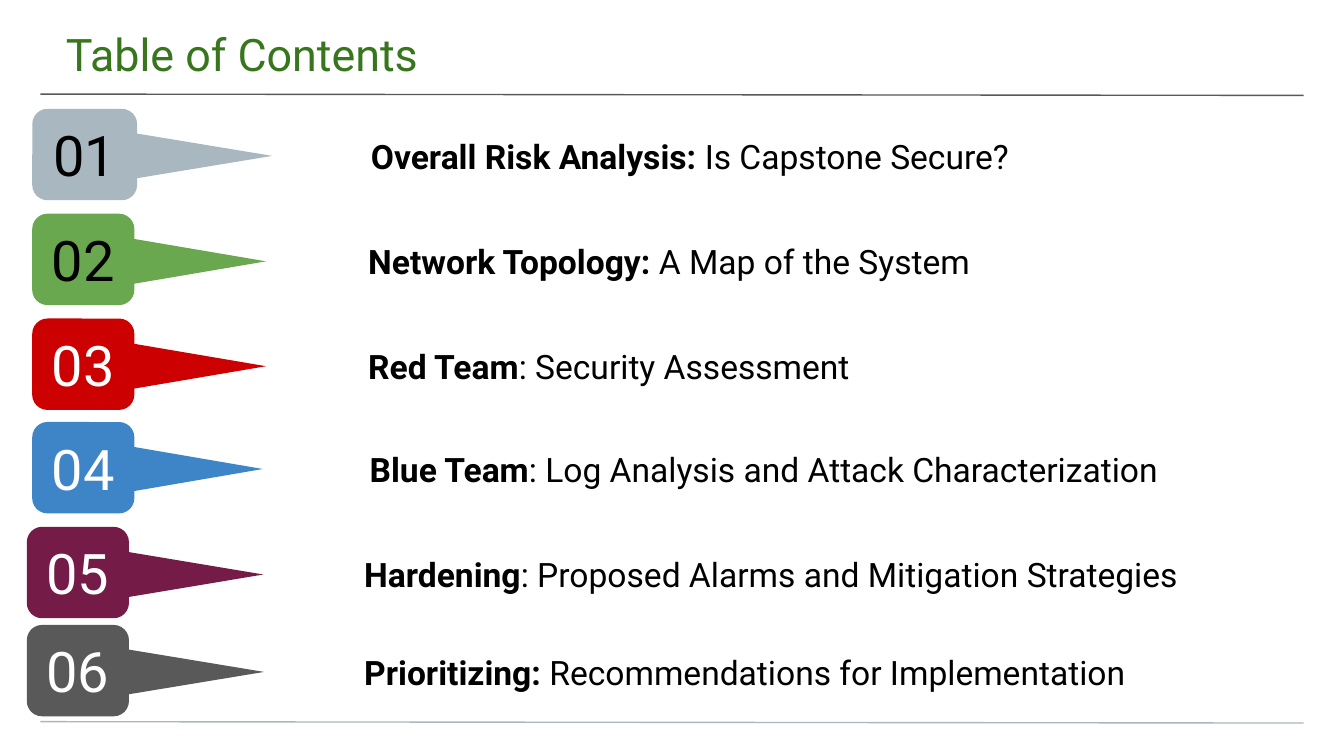
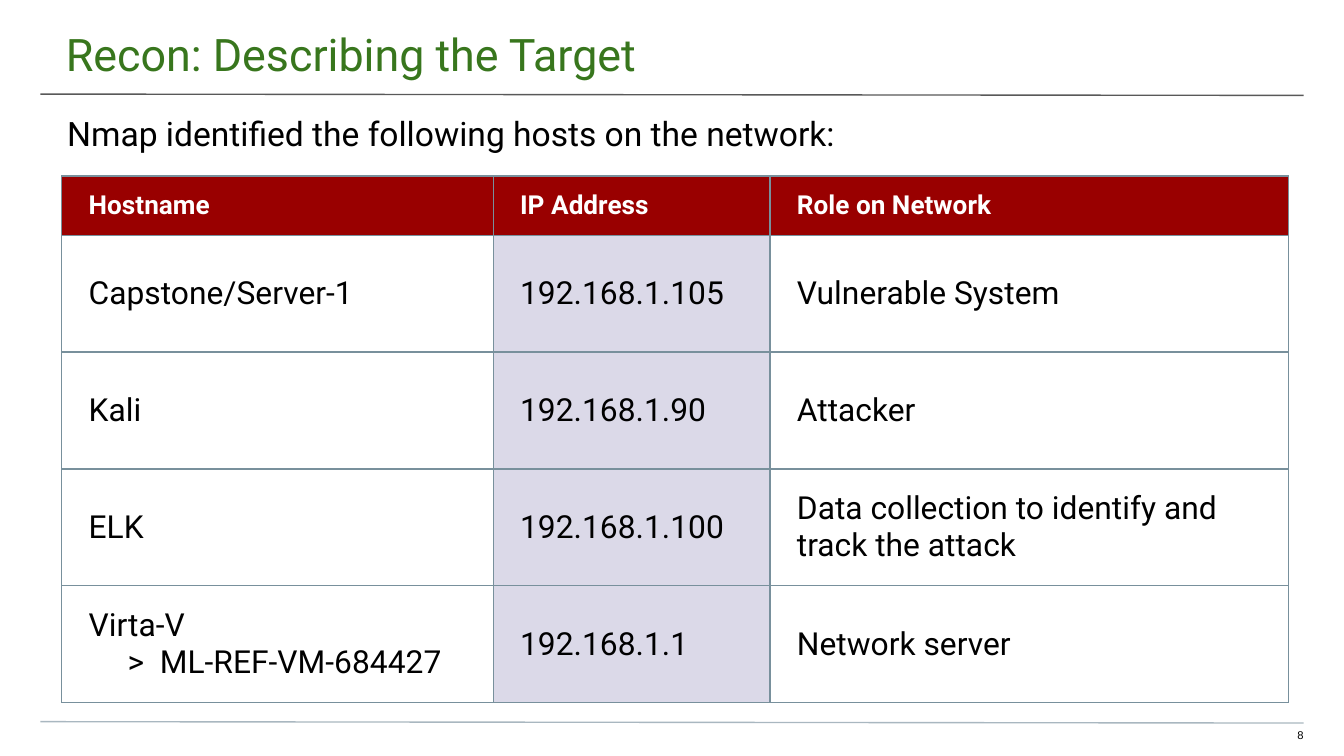
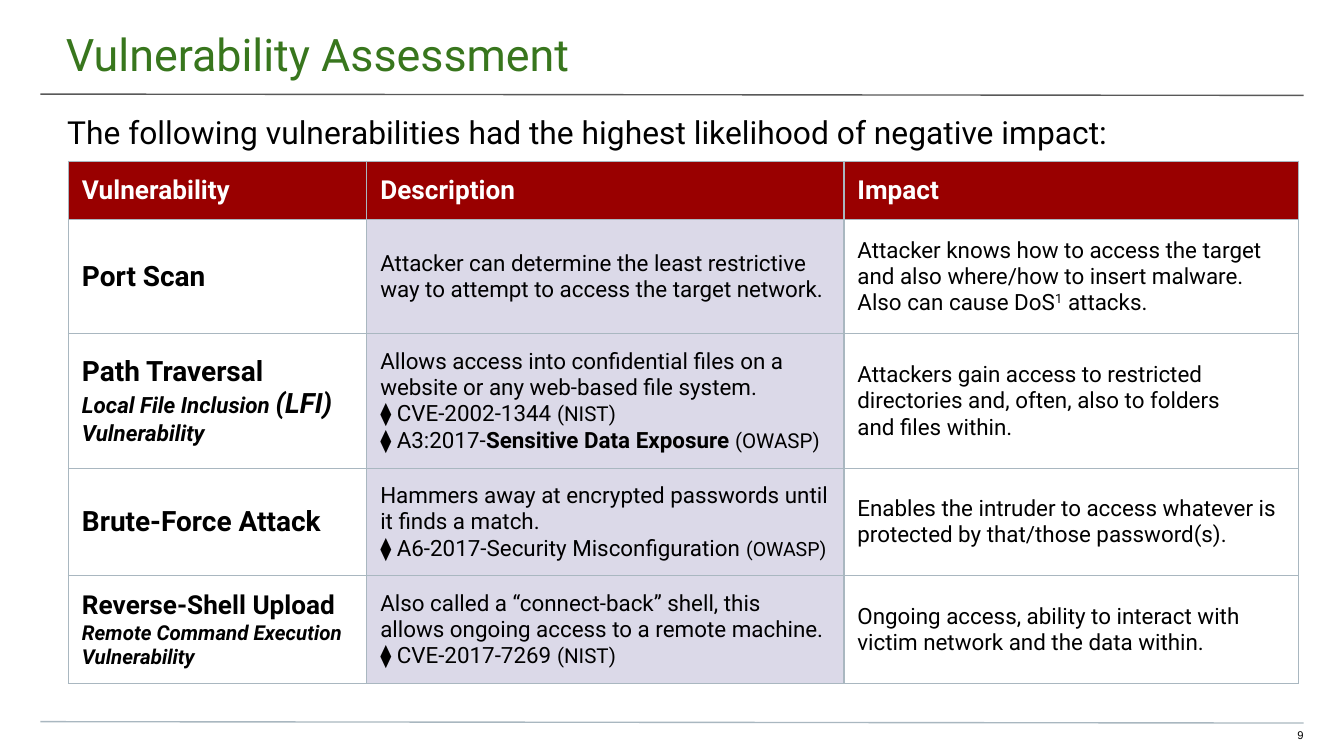
import copy

import pptx
import pptx.dml.color
import pptx.enum.shapes
import pptx.enum.text
import pptx.oxml.ns
import pptx.util
from lxml import etree

PX = 9144  # 100 px to the inch
COLOURS = {
    "title": "38761D", "text": "000000", "white": "FFFFFF", "rule": "595959",
    "mist": "A9B7C0", "green": "6AA84F", "red": "CC0000", "blue": "3D85C6",
    "plum": "741B47", "header": "990000", "lilac": "DBD9E8", "slate": "78909C",
}
SHAPES = pptx.enum.shapes.MSO_SHAPE
ALIGN = pptx.enum.text.PP_ALIGN
ANCHOR = pptx.enum.text.MSO_ANCHOR
qn = pptx.oxml.ns.qn


def place(*lengths):
    return [length * PX for length in lengths]


def write(holder, paragraphs, inset, look, anchor=ANCHOR.TOP, layout=None):
    """Fill a text frame or table cell; a paragraph is a string or a list of (text, format) spans.

    A span that ends in a newline is followed by a line break of the same size.
    """
    for side, margin in zip(("left", "top", "right", "bottom"), place(*inset)):
        setattr(holder, f"margin_{side}", margin)
    holder.vertical_anchor = anchor
    frame = getattr(holder, "text_frame", holder)
    frame.word_wrap = True
    for index, spans in enumerate(paragraphs):
        para = frame.paragraphs[0] if index == 0 else frame.add_paragraph()
        for name, value in (layout or {}).items():
            setattr(para, name, value)
        if isinstance(spans, str):
            spans = [(spans, {})]
        for text, changes in spans:
            span = para.add_run()
            span.text = text.rstrip("\n")
            style = {"name": "Roboto", "bold": False, "italic": False, **look, **changes}
            span.font.color.rgb = pptx.dml.color.RGBColor.from_string(COLOURS[style.pop("colour")])
            span.font.size = pptx.util.Pt(style.pop("points"))
            if "baseline" in style:
                span.font._element.set("baseline", style.pop("baseline"))
            for name, value in style.items():
                setattr(span.font, name, value)
            if text.endswith("\n"):
                para.add_line_break()
                para._p[-1].append(copy.deepcopy(span.font._element))


BOLD, PLAIN = {"bold": True}, {}
NAME = {"bold": True, "points": 15}
SUBNAME = {"bold": True, "italic": True, "points": 12}
SMALL_SUBNAME = {**SUBNAME, "points": 11}
SOURCE = {"points": 11}

# number, fill, ink, tab left, top, width, pointer left, pointer length, text left, text width, spans
contents = [
    ("01", "mist", "text", 24, 81, 78, 128, 112, 106, 894,
     [("Overall Risk Analysis: ", BOLD), ("Is Capstone Secure?", PLAIN)]),
    ("02", "green", "text", 24, 159, 76, 125, 109, 104, 896,
     [("Network Topology: ", BOLD), ("A Map of the System", PLAIN)]),
    ("03", "red", "white", 24, 237, 76, 125, 109, 104, 896,
     [("Red Team", BOLD), (": Security Assessment", PLAIN)]),
    ("04", "blue", "white", 24, 314, 76, 123, 108, 105, 895,
     [("Blue Team", BOLD), (": Log Analysis and Attack Characterization", PLAIN)]),
    ("05", "plum", "white", 20, 392, 76, 122, 111, 101, 892,
     [("Hardening", BOLD), (": Proposed Alarms and Mitigation Strategies", PLAIN)]),
    ("06", "rule", "white", 20, 465, 76, 122, 112, 101, 892,
     [("Prioritizing:", BOLD), (" Recommendations for Implementation", PLAIN)]),
]

hosts = [
    [["Hostname"], ["IP Address"], ["Role on Network"]],
    [["Capstone/Server-1"], ["192.168.1.105"], ["Vulnerable System"]],
    [["Kali"], ["192.168.1.90"], ["Attacker"]],
    [["ELK"], ["192.168.1.100"], ["Data collection to identify and track the attack"]],
    [["Virta-V", ">\tML-REF-VM-684427"], ["192.168.1.1"], ["Network server"]],
]

vulnerabilities = [
    [["Vulnerability"], ["Description"], ["Impact"]],
    [[[("Port Scan", NAME)]],
     ["Attacker can determine the least restrictive way to attempt to access the target network."],
     [[("Attacker knows how to access the target and also where/how to insert malware. "
        "Also can cause DoS", PLAIN), ("1", {"baseline": "30000"}), (" attacks.", PLAIN)]]],
    [[[("Path Traversal\n", NAME), ("Local File Inclusion ", SUBNAME),
       ("(LFI)", {**SUBNAME, "points": 15}), (" Vulnerability", SUBNAME)]],
     [[("Allows access into confidential files on a website or any web-based file system.\n", PLAIN),
       ("⧫ CVE-2002-1344 ", PLAIN), ("(NIST)\n", SOURCE),
       ("⧫ A3:2017-", PLAIN), ("Sensitive Data Exposure ", BOLD), ("(OWASP)", SOURCE)]],
     [[("Attackers gain access to restricted directories and, often, also to folders \n", PLAIN),
       ("and files within.", PLAIN)]]],
    [[[("Brute-Force Attack", NAME)]],
     ["Hammers away at encrypted passwords until it finds a match.",
      [("⧫ A6-2017-Security Misconfiguration ", PLAIN), ("(OWASP)", {"points": 10.5})]],
     ["Enables the intruder to access whatever is protected by that/those password(s)."]],
    [[[("Reverse-Shell Upload\n", {**NAME, "points": 14}),
       ("Remote Command Execution Vulnerability", SMALL_SUBNAME)]],
     ["Also called a “connect-back” shell, this allows ongoing access to a remote machine.",
      [("⧫ CVE-2017-7269 ", PLAIN), ("(NIST)", SOURCE)]],
     ["Ongoing access, ability to interact with victim network and the data within."]],
]

slides = [
    {"title": "Table of Contents"},
    {"title": "Recon: Describing the Target", "number": "8",
     "intro": "Nmap identified the following hosts on the network:", "intro_points": 18,
     "rows": hosts, "at": (46, 131), "widths": (321, 206, 386), "heights": (44, 87, 87, 87, 87),
     "border": "slate", "inset": (20, 10, 20, 10), "points": 17},
    {"title": "Vulnerability Assessment", "number": "9",
     "intro": "The following vulnerabilities had the highest likelihood of negative impact:",
     "intro_points": 17,
     "rows": vulnerabilities, "at": (51, 120), "widths": (222, 355, 338),
     "heights": (41, 85, 94, 80, 60),
     "border": "mist", "inset": (10, 10, 10, 10), "points": 12},
]

deck = pptx.Presentation()
deck.slide_width = 1000 * PX
deck.slide_height = deck.slide_width * 9 // 16

for content in slides:
    page = deck.slides.add_slide(deck.slide_layouts[6])

    for top, colour in ((70, "rule"), (537, "mist")):
        rule = page.shapes.add_connector(
            pptx.enum.shapes.MSO_CONNECTOR.STRAIGHT, *place(30, top, 970, top + 1))
        rule.line.color.rgb = pptx.dml.color.RGBColor.from_string(COLOURS[colour])
        rule.line.width = pptx.util.Pt(0.75)
        etree.SubElement(rule._element.spPr, qn("a:effectLst"))

    box = page.shapes.add_textbox(*place(-1, 0, 1003, 58))
    write(box.text_frame, [content["title"]], (50, 20, 30, 10), {"points": 24, "colour": "title"})

    if "rows" not in content:
        for (number, fill, ink, left, top, width, pointer_left, pointer_length,
             text_left, text_width, spans) in contents:
            tab = page.shapes.add_shape(SHAPES.ROUNDED_RECTANGLE, *place(left, top, width, 68))
            pointer = page.shapes.add_shape(
                SHAPES.FLOWCHART_EXTRACT,
                *place(pointer_left, top + 35 - pointer_length // 2, 37, pointer_length))
            pointer.rotation = 90
            for shape in (tab, pointer):
                shape.shadow.inherit = False
                shape.fill.solid()
                shape.fill.fore_color.rgb = pptx.dml.color.RGBColor.from_string(COLOURS[fill])
                shape.line.fill.background()
            write(tab.text_frame, [number], (10, 10, 10, 10), {"points": 30, "colour": ink},
                  ANCHOR.MIDDLE, {"alignment": ALIGN.CENTER})
            box = page.shapes.add_textbox(*place(text_left, top, text_width, 66))
            write(box.text_frame, [spans], (170, 0, 50, 0), {"points": 18, "colour": "text"},
                  ANCHOR.MIDDLE, {"line_spacing": 1.15})
        continue

    box = page.shapes.add_textbox(*place(0, 74, 1000, 40))
    write(box.text_frame, [content["intro"]], (50, 10, 50, 0),
          {"points": content["intro_points"], "colour": "text"})

    rows, widths, heights = content["rows"], content["widths"], content["heights"]
    table = page.shapes.add_table(
        len(rows), len(widths), *place(*content["at"], sum(widths), sum(heights))).table
    table.horz_banding = False
    for column, width in zip(table.columns, widths):
        column.width = width * PX
    for row_index, (row, height) in enumerate(zip(rows, heights)):
        table.rows[row_index].height = height * PX
        for column_index, paragraphs in enumerate(row):
            cell = table.cell(row_index, column_index)
            look = {"points": content["points"], "colour": "text"}
            fill = "lilac" if column_index == 1 else None
            if row_index == 0:
                look = {"points": 14, "colour": "white", "bold": True}
                fill = "header"
            write(cell, paragraphs, content["inset"], look, ANCHOR.MIDDLE)
            for para in cell.text_frame.paragraphs:
                if para.text.startswith(">"):
                    properties = para._p.get_or_add_pPr()
                    properties.set("marL", str(53 * PX))
                    properties.set("indent", str(-24 * PX))
            properties = cell._tc.get_or_add_tcPr()
            for side in ("lnL", "lnR", "lnT", "lnB"):
                edge = etree.SubElement(properties, qn(f"a:{side}"), w=str(pptx.util.Pt(0.75)))
                solid = etree.SubElement(edge, qn("a:solidFill"))
                etree.SubElement(solid, qn("a:srgbClr"), val=COLOURS[content["border"]])
            if fill:
                cell.fill.solid()
                cell.fill.fore_color.rgb = pptx.dml.color.RGBColor.from_string(COLOURS[fill])
            else:
                cell.fill.background()

    box = page.shapes.add_textbox(*place(941, 542, 29, 12))
    write(box.text_frame, [content["number"]], (0, 0, 0, 10),
          {"points": 6, "colour": "text", "name": "Arial"}, layout={"alignment": ALIGN.RIGHT})

deck.save("out.pptx")
